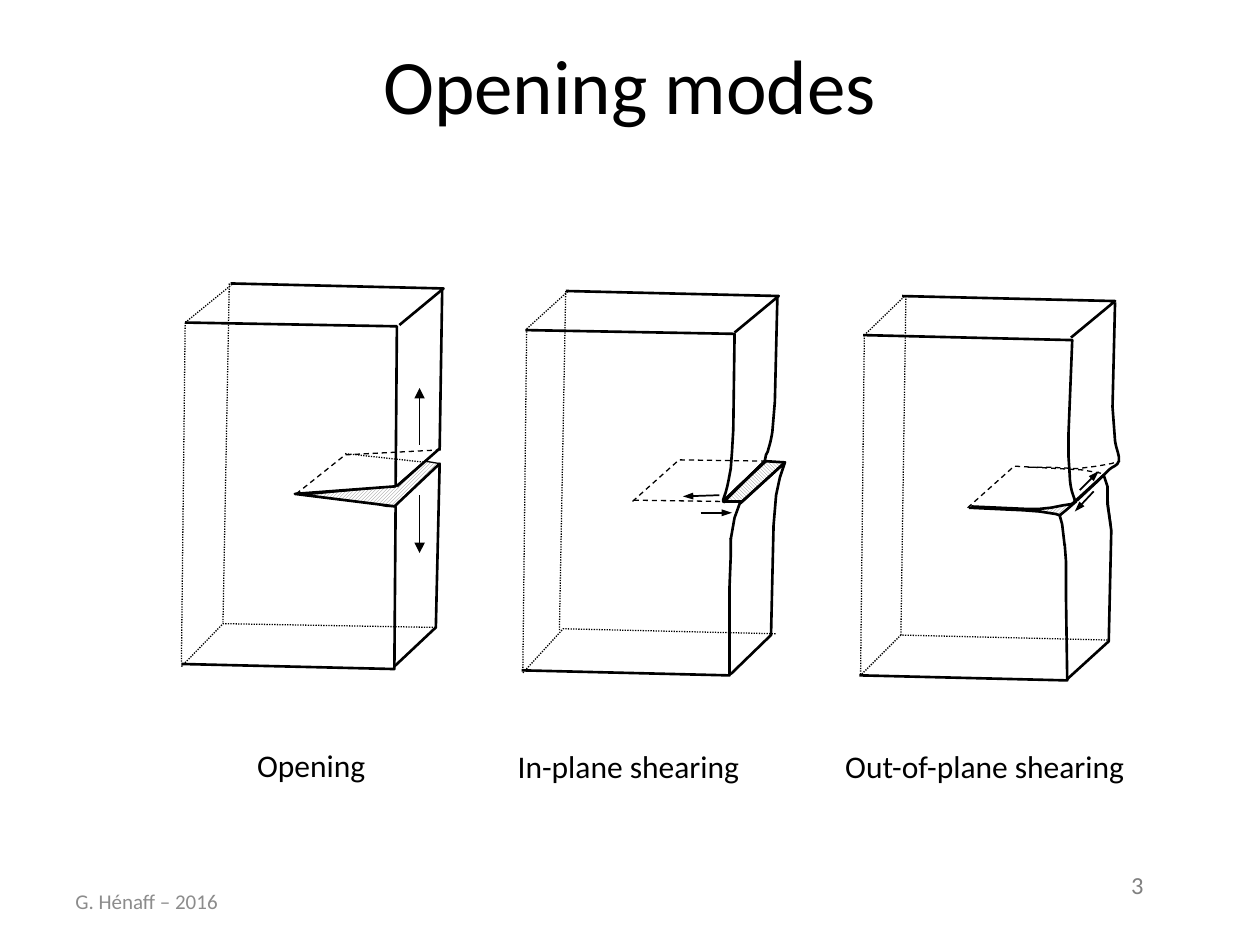
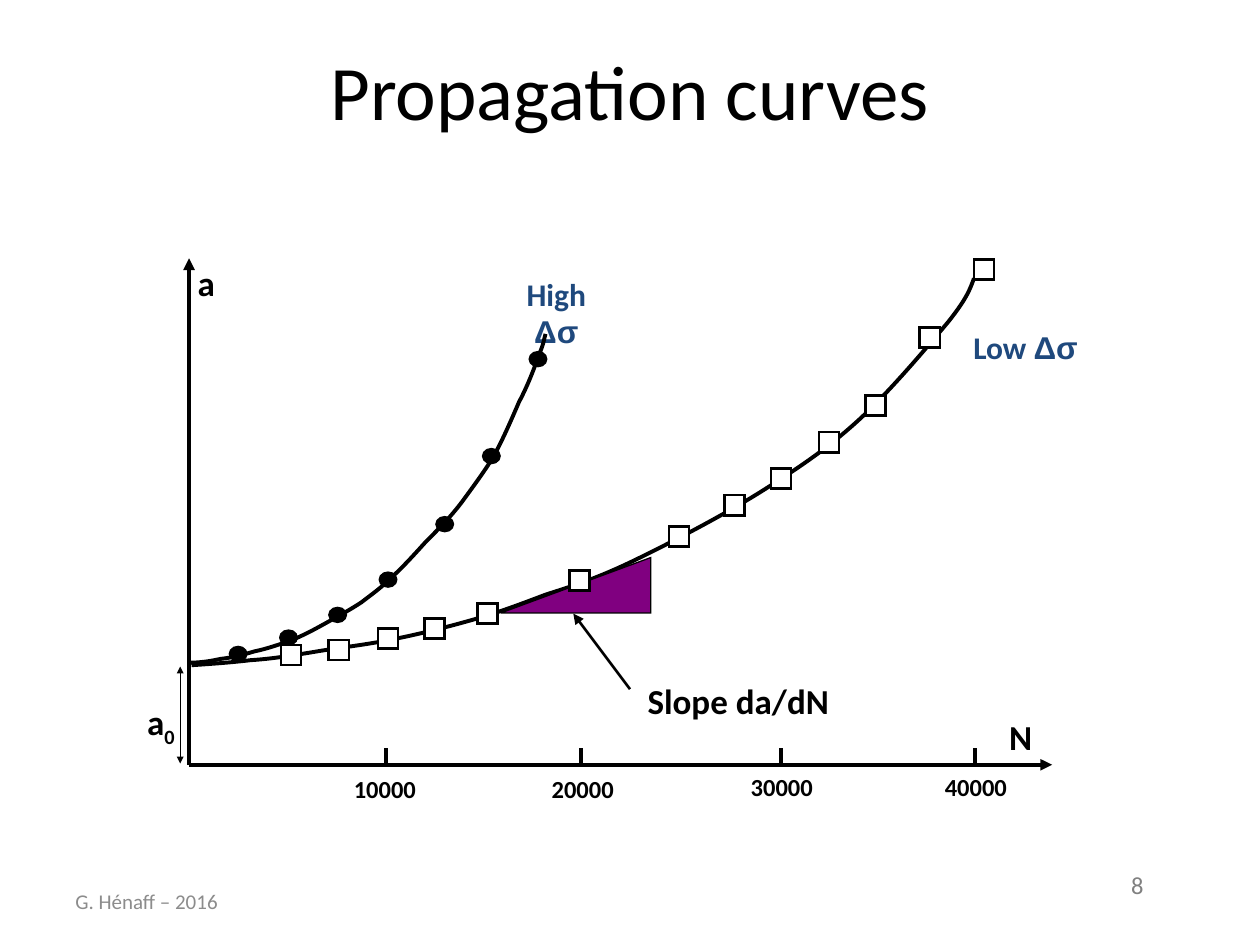
from lxml import etree
from pptx import Presentation
from pptx.dml.color import RGBColor
from pptx.enum.dml import MSO_LINE, MSO_PATTERN
from pptx.enum.shapes import MSO_CONNECTOR, MSO_SHAPE
from pptx.enum.text import MSO_ANCHOR, PP_ALIGN
from pptx.oxml.ns import qn
from pptx.util import Inches, Pt

# Enum members
LEFT, CENTER = PP_ALIGN.LEFT, PP_ALIGN.CENTER
TOP, MIDDLE = MSO_ANCHOR.TOP, MSO_ANCHOR.MIDDLE
STRAIGHT = MSO_CONNECTOR.STRAIGHT
OVAL, SQUARE = MSO_SHAPE.OVAL, MSO_SHAPE.RECTANGLE
RIGHT_TRIANGLE = MSO_SHAPE.RIGHT_TRIANGLE
DASHED, DOTTED = MSO_LINE.DASH, MSO_LINE.ROUND_DOT
HATCH_UP = MSO_PATTERN.DARK_UPWARD_DIAGONAL
HATCH_DOWN = MSO_PATTERN.DARK_DOWNWARD_DIAGONAL

# Shared look
BLACK = RGBColor(0x00, 0x00, 0x00)
WHITE = RGBColor(0xFF, 0xFF, 0xFF)
GREY = RGBColor(0x80, 0x80, 0x80)
FOOTER_GREY = RGBColor(0x8C, 0x8C, 0x8C)
BLUE = RGBColor(0x1F, 0x49, 0x7D)
PURPLE = RGBColor(0x80, 0x00, 0x80)
FONT = "Calibri"

# Line styles for the cracked blocks
EDGE = {"width": 1.5}
THIN = {"width": 0.75}
HIDDEN = {"width": 0.75, "dash": DOTTED}
CRACK = {"width": 0.75, "dash": DASHED}
ARROW = {"width": 1, "tail": True, "head_width": "sm"}
LONG_ARROW = {"width": 0.75, "tail": True}

# Per block: front corner, back corner, foot of the back edge, base corners
BLOCKS = [
    ((1.47, 2.56), (1.82, 2.25), (1.77, 4.94), [(1.44, 5.29), (1.77, 4.95), (3.46, 4.98)]),
    ((4.18, 2.61), (4.49, 2.31), (4.44, 5), [(4.15, 5.34), (4.47, 4.99), (6.16, 5.03)]),
    ((6.86, 2.66), (7.19, 2.35), (7.15, 5.04), [(6.84, 5.35), (7.15, 5.04), (8.8, 5.08)]),
]
TOP_LEFTS = (1.83, 4.49, 7.16)

# Outlines: a pair is a corner, six numbers are a Bezier piece
OPENING = [
    (HIDDEN, [(2.74, 3.6), (3.38, 3.67)]),
    (CRACK, [(2.35, 3.92), (2.74, 3.61), (3.5, 3.57)]),
    ({"width": 0.75, "hatch": HATCH_UP},
     [(2.4, 3.93), (2.65, 3.96), (3, 4), (3.03, 4.01, 3.05, 4.02, 3.07, 4.02),
      (3.13, 4.02), (3.49, 3.68), (3.37, 3.66), (3.14, 3.86), (2.4, 3.93)]),
    (EDGE, [(1.47, 2.56), (3.15, 2.59), (3.14, 3.86), (2.34, 3.92),
            (3.14, 4.02), (3.13, 5.31), (1.44, 5.27)]),
    (EDGE, [(3.51, 2.3), (3.49, 3.56), (3.15, 3.86)]),
    (EDGE, [(3.13, 4.02), (3.49, 3.68), (3.46, 4.98), (3.13, 5.29)]),
    (LONG_ARROW, [(3.33, 3.53), (3.33, 3.08)]),
    (LONG_ARROW, [(3.33, 3.93), (3.33, 4.39)]),
]
IN_PLANE = [
    (CRACK, [(5.02, 3.98), (5.39, 3.65), (6.06, 3.66)]),
    (CRACK, [(5.03, 3.97), (5.74, 3.98)]),
    ({"width": 1.5, "hatch": HATCH_DOWN},
     [(5.74, 3.98), (6.07, 3.66), (6.23, 3.67), (5.89, 3.98), (5.74, 3.98)]),
    (EDGE, [(6.17, 2.36), (6.15, 3.19), (6.13, 3.43), (6.12, 3.49, 6.11, 3.53, 6.1, 3.56),
            (6.1, 3.58, 6.09, 3.59, 6.08, 3.61), (6.07, 3.66), (5.74, 3.99)]),
    (EDGE, [(5.8, 4.28), (5.83, 4.11), (5.87, 4), (6.23, 3.67), (6.19, 3.79),
            (6.16, 3.93), (6.14, 4.17), (6.12, 5.04), (5.8, 5.35)]),
    (EDGE, [(4.14, 5.32), (5.79, 5.36), (5.79, 4.67), (5.8, 4.41), (5.8, 4.27)]),
    (EDGE, [(4.17, 2.62), (5.83, 2.65), (5.82, 3.41), (5.81, 3.58), (5.8, 3.72),
            (5.79, 3.77, 5.78, 3.83, 5.77, 3.87), (5.76, 3.92, 5.73, 3.98, 5.74, 3.98),
            (5.84, 3.88), (6.08, 3.66)]),
    (ARROW, [(5.71, 3.93), (5.42, 3.94)]),
    (ARROW, [(5.56, 4.07), (5.81, 4.07)]),
]
OUT_OF_PLANE = [
    (EDGE, [(8.85, 2.4), (8.83, 3.23), (8.85, 3.5), (8.86, 3.57, 8.89, 3.62, 8.88, 3.66),
            (8.87, 3.7, 8.83, 3.7, 8.8, 3.73), (8.7, 3.83), (8.55, 3.97), (8.52, 3.97)]),
    (EDGE, [(8.45, 4.33), (8.43, 4.16), (8.41, 4.09), (8.76, 3.77), (8.79, 3.86),
            (8.79, 4), (8.82, 4.21), (8.8, 5.09), (8.47, 5.39)]),
    (EDGE, [(6.82, 5.36), (8.47, 5.4), (8.46, 4.71), (8.46, 4.45), (8.45, 4.32)]),
    (EDGE, [(6.85, 2.66), (8.51, 2.7), (8.48, 3.45), (8.48, 3.62), (8.49, 3.77),
            (8.49, 3.82, 8.5, 3.88, 8.51, 3.91), (8.52, 3.94, 8.53, 3.97, 8.54, 3.99)]),
    (CRACK, [(7.68, 4.03), (8.05, 3.7), (8.59, 3.73), (8.76, 3.76)]),
    ({"width": 1.5, "hatch": HATCH_UP},
     [(7.69, 4.03), (8.12, 4.05), (8.25, 4.06), (8.38, 4.08), (8.41, 4.09), (8.46, 4.05),
      (8.54, 3.98), (8.51, 4), (8.44, 4.01), (8.34, 4.03), (8.24, 4.04), (8.16, 4.04),
      (7.71, 4.02)]),
    (ARROW, [(8.57, 3.89), (8.72, 3.74)]),
    (CRACK, [(8.16, 3.71), (8.35, 3.71), (8.55, 3.72), (8.71, 3.7), (8.82, 3.68), (8.89, 3.66)]),
    (THIN, [(8.76, 3.77), (8.79, 3.87), (8.8, 4.02), (8.82, 4.17)]),
    (ARROW, [(8.68, 3.9), (8.53, 4.06)]),
]

# Propagation curves and the top left corners of their markers
HIGH_CURVE = [
    (1.5, 5.26), (1.58, 5.26, 1.66, 5.25, 1.75, 5.23), (1.84, 5.22, 1.92, 5.2, 2.02, 5.17),
    (2.12, 5.15, 2.23, 5.11, 2.32, 5.08), (2.41, 5.04, 2.47, 5.01, 2.56, 4.96),
    (2.65, 4.91, 2.78, 4.84, 2.87, 4.78), (2.96, 4.71, 3.02, 4.67, 3.1, 4.59),
    (3.19, 4.51, 3.29, 4.4, 3.38, 4.3), (3.48, 4.2, 3.58, 4.1, 3.67, 3.98),
    (3.75, 3.87, 3.84, 3.75, 3.92, 3.62), (3.99, 3.49, 4.06, 3.33, 4.12, 3.19),
    (4.19, 3.06, 4.25, 2.9, 4.28, 2.81), (4.32, 2.72, 4.32, 2.68, 4.33, 2.65)]
LOW_CURVE = [
    (1.52, 5.28), (1.67, 5.27, 1.82, 5.26, 1.99, 5.24), (2.16, 5.23, 2.34, 5.2, 2.52, 5.17),
    (2.7, 5.14, 2.89, 5.12, 3.09, 5.08), (3.3, 5.04, 3.54, 4.98, 3.75, 4.92),
    (3.96, 4.86, 4.12, 4.8, 4.33, 4.72), (4.55, 4.65, 4.74, 4.59, 5.03, 4.45),
    (5.32, 4.31, 5.76, 4.08, 6.06, 3.89), (6.36, 3.7, 6.58, 3.55, 6.82, 3.33),
    (7.07, 3.1, 7.38, 2.73, 7.53, 2.55), (7.68, 2.36, 7.7, 2.29, 7.73, 2.21)]
HIGH_MARKERS = [(1.82, 5.13), (2.22, 5), (2.61, 4.82), (3.01, 4.54), (3.46, 4.1),
                (3.83, 3.56), (4.2, 2.79)]
LOW_MARKERS = [(2.23, 5.12), (2.61, 5.08), (3, 4.99), (3.37, 4.91), (3.79, 4.79),
               (4.52, 4.53), (5.31, 4.18), (5.75, 3.93), (6.12, 3.72), (6.5, 3.43),
               (6.87, 3.14), (7.3, 2.6), (7.73, 2.06)]
ORIGIN_X, AXIS_Y = 1.5, 6.07
# Tick position, label left, label top
TICKS = {"10000": (3.06, 2.71, 6.09), "20000": (4.61, 4.28, 6.09),
         "30000": (6.2, 5.86, 6.08), "40000": (7.74, 7.4, 6.08)}


def add_text(page, at, spans, size, color=BLACK, bold=False, align=LEFT, anchor=TOP, wrap=True):
    """Each span is a text and a dict of the font values it changes."""
    frame = page.shapes.add_textbox(*map(Inches, at)).text_frame
    frame.word_wrap = wrap
    frame.vertical_anchor = anchor
    para = frame.paragraphs[0]
    para.alignment = align
    for text, changes in spans:
        span = para.add_run()
        span.text = text
        values = {"name": FONT, "size": Pt(size), "bold": bold} | changes
        for name, value in values.items():
            setattr(span.font, name, value)
        span.font.color.rgb = color
    return para


def set_line(shape, width, dash=None):
    shape.line.color.rgb = BLACK
    shape.line.width = Pt(width)
    if dash:
        shape.line.dash_style = dash


def add_line(page, start, end, width, dash=None, head=False, tail=False,
             head_width="med", head_length="med"):
    line = page.shapes.add_connector(STRAIGHT, *map(Inches, (*start, *end)))
    set_line(line, width, dash)
    for tag, wanted in (("a:headEnd", head), ("a:tailEnd", tail)):
        if wanted:
            etree.SubElement(line.line._get_or_add_ln(), qn(tag), type="triangle",
                             w=head_width, len=head_length)
    etree.SubElement(line._element.spPr, qn("a:effectLst"))


def add_outline(page, pieces, width, dash=None, hatch=None):
    corners = [(Inches(piece[i]), Inches(piece[i + 1]))
               for piece in pieces for i in range(0, len(piece), 2)]
    builder = page.shapes.build_freeform(*corners[0])
    builder.add_line_segments(corners[1:], close=pieces[0] == pieces[-1])
    shape = builder.convert_to_shape()
    # Join the three steps of each Bezier piece into one curve
    steps = shape._element.iter(qn("a:lnTo"))
    steps = iter(list(steps))
    for piece in pieces[1:]:
        group = [next(steps) for _ in range(len(piece) // 2)]
        if len(group) == 3:
            curve = etree.Element(qn("a:cubicBezTo"))
            group[0].addprevious(curve)
            for step in group:
                curve.append(step[0])
                step.getparent().remove(step)
    shape.shadow.inherit = False
    if hatch:
        shape.fill.patterned()
        shape.fill.pattern = hatch
        shape.fill.fore_color.rgb = GREY
        shape.fill.back_color.rgb = WHITE
    else:
        shape.fill.background()
    set_line(shape, width, dash)


def draw(page, style, points):
    if len(points) == 2:
        add_line(page, *points, **style)
    else:
        add_outline(page, points, **style)


def add_filled(page, kind, at, fill, width):
    shape = page.shapes.add_shape(kind, *map(Inches, at))
    shape.shadow.inherit = False
    shape.fill.solid()
    shape.fill.fore_color.rgb = fill
    set_line(shape, width)
    etree.SubElement(shape.line._get_or_add_ln(), qn("a:miter"), lim="800000")
    return shape


def add_block_frame(page, front, back, foot, base, left):
    """Top face and hidden edges, which all three blocks share."""
    x, y = front
    top = back[1]
    draw(page, HIDDEN, [front, (x - 0.03, y + 2.7)])
    draw(page, EDGE, [(left, top), (left + 1.69, top + 0.04), (left + 1.34, top + 0.33)])
    draw(page, HIDDEN, [back, foot])
    draw(page, HIDDEN, [front, (left + 0.02, top)])
    draw(page, HIDDEN, base)


def add_page(deck, title, title_top, number):
    page = deck.slides.add_slide(deck.slide_layouts[6])
    add_text(page, (8.88, 6.86, 0.53, 0.34), [(number, {})], 14, GREY, wrap=False)
    add_text(page, (0.5, title_top, 9, 1.25), [(title, {})], 44, align=CENTER, anchor=MIDDLE)
    add_text(page, (0.5, 6.95, 2.33, 0.4), [("G. Hénaff – 2016", {})], 12, FOOTER_GREY,
             anchor=MIDDLE)
    return page


def build_opening_modes(deck):
    page = add_page(deck, "Opening modes", 0.04, "3")
    for text, left, top, width, align in (("Opening", 1.67, 5.87, 1.6, CENTER),
                                          ("In-plane shearing", 4.01, 5.88, 2.02, LEFT),
                                          ("Out-of-plane shearing", 6.32, 5.88, 2.99, CENTER)):
        add_text(page, (left, top, width, 0.4), [(text, {})], 18, align=align)
    for block, left, parts in zip(BLOCKS, TOP_LEFTS, (OPENING, IN_PLANE, OUT_OF_PLANE)):
        add_block_frame(page, *block, left)
        for style, points in parts:
            draw(page, style, points)


def build_propagation_curves(deck):
    page = add_page(deck, "Propagation curves", 0.09, "8")
    add_outline(page, LOW_CURVE, 2.25)

    # Slope
    slope = add_filled(page, RIGHT_TRIANGLE, (4.35, 4.05, 0.44, 1.19), PURPLE, 0.75)
    slope.rotation = 270
    add_text(page, (5.03, 5.34, 1.66, 0.44), [("Slope da/dN", {})], 20, bold=True,
             align=CENTER, anchor=MIDDLE, wrap=False)
    add_line(page, (5, 5.47), (4.55, 4.87), 1.5, tail=True)

    # Curve names
    for level, at in (("High ", (3.89, 2.28, 1.05, 0.4)), ("Low ", (7.46, 2.55, 1.36, 0.4))):
        add_text(page, at, [(level, {}), ("Δσ", {"name": "Arial"})], 18, BLUE, True,
                 CENTER, MIDDLE)

    # Axes, ticks and initial length
    add_line(page, (1.43, 5.29), (1.43, 6.06), 0.75, head=True, tail=True,
             head_width="sm", head_length="sm")
    initial = add_text(page, (1.07, 5.51, 0.44, 0.44), [("a", {}), ("0", {})], 20, bold=True,
                       wrap=False)
    initial.runs[1]._r.get_or_add_rPr().set("baseline", "-25000")
    for name, left, top, width in (("N", 7.91, 5.63, 0.39), ("a", 1.47, 2.03, 0.34)):
        add_text(page, (left, top, width, 0.44), [(name, {})], 20, bold=True, wrap=False)
    for end in ((ORIGIN_X, 2.05), (8.35, AXIS_Y)):
        add_line(page, (ORIGIN_X, AXIS_Y), end, 2.25, tail=True)
    for label, (x, left, top) in TICKS.items():
        add_line(page, (x, AXIS_Y), (x, AXIS_Y - 0.13), 2.25)
        add_text(page, (left, top, 0.7, 0.34), [(label, {})], 14, bold=True, wrap=False)

    # Measured points
    for left, top in HIGH_MARKERS:
        add_filled(page, OVAL, (left, top, 0.14, 0.12), BLACK, 0.75)
    add_outline(page, HIGH_CURVE, 2.25)
    for left, top in LOW_MARKERS:
        add_filled(page, SQUARE, (left, top, 0.16, 0.16), WHITE, 1.5)


def main():
    deck = Presentation()
    deck.slide_width, deck.slide_height = Inches(10), Inches(7.5)
    build_opening_modes(deck)
    build_propagation_curves(deck)
    deck.save("out.pptx")


if __name__ == "__main__":
    main()
